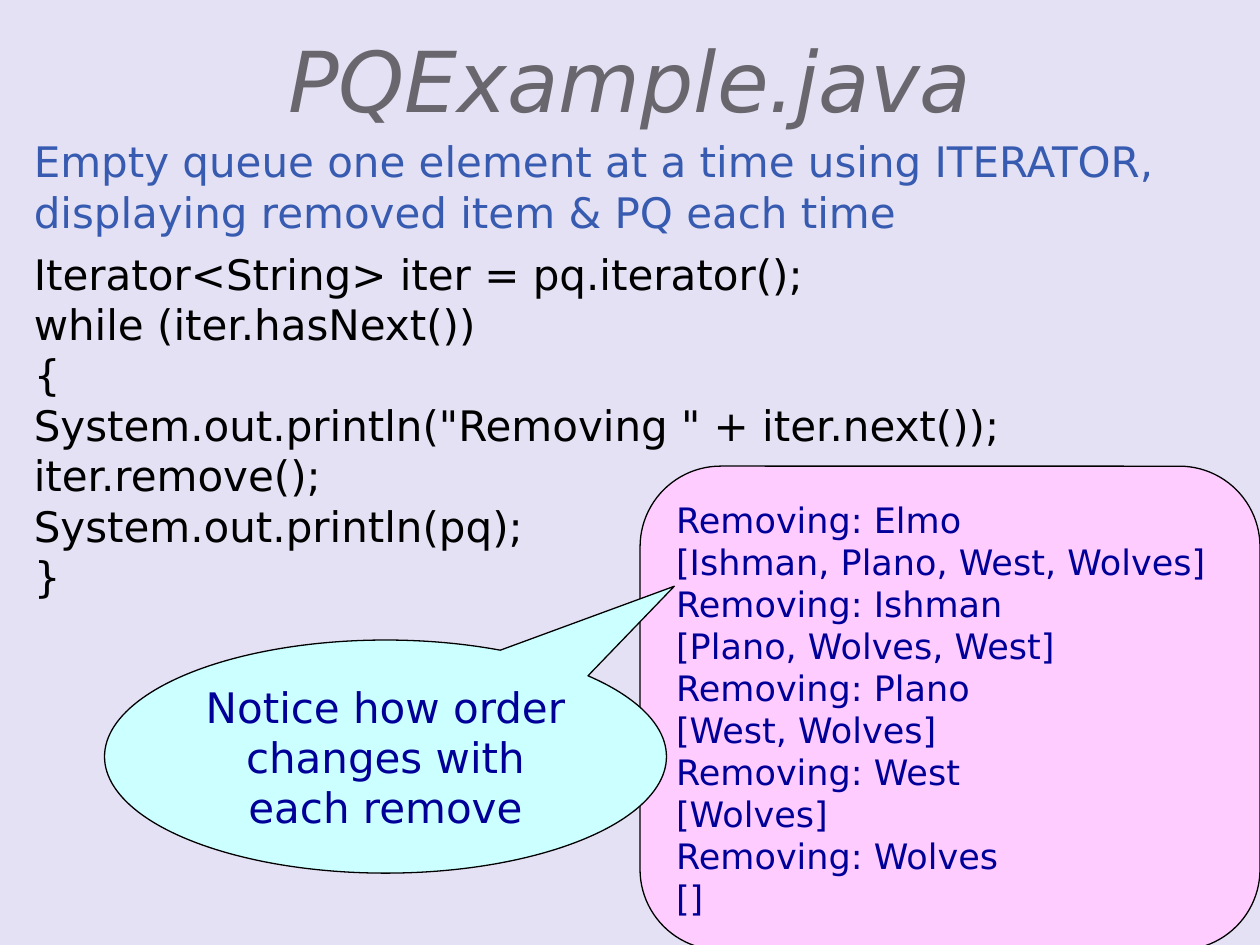
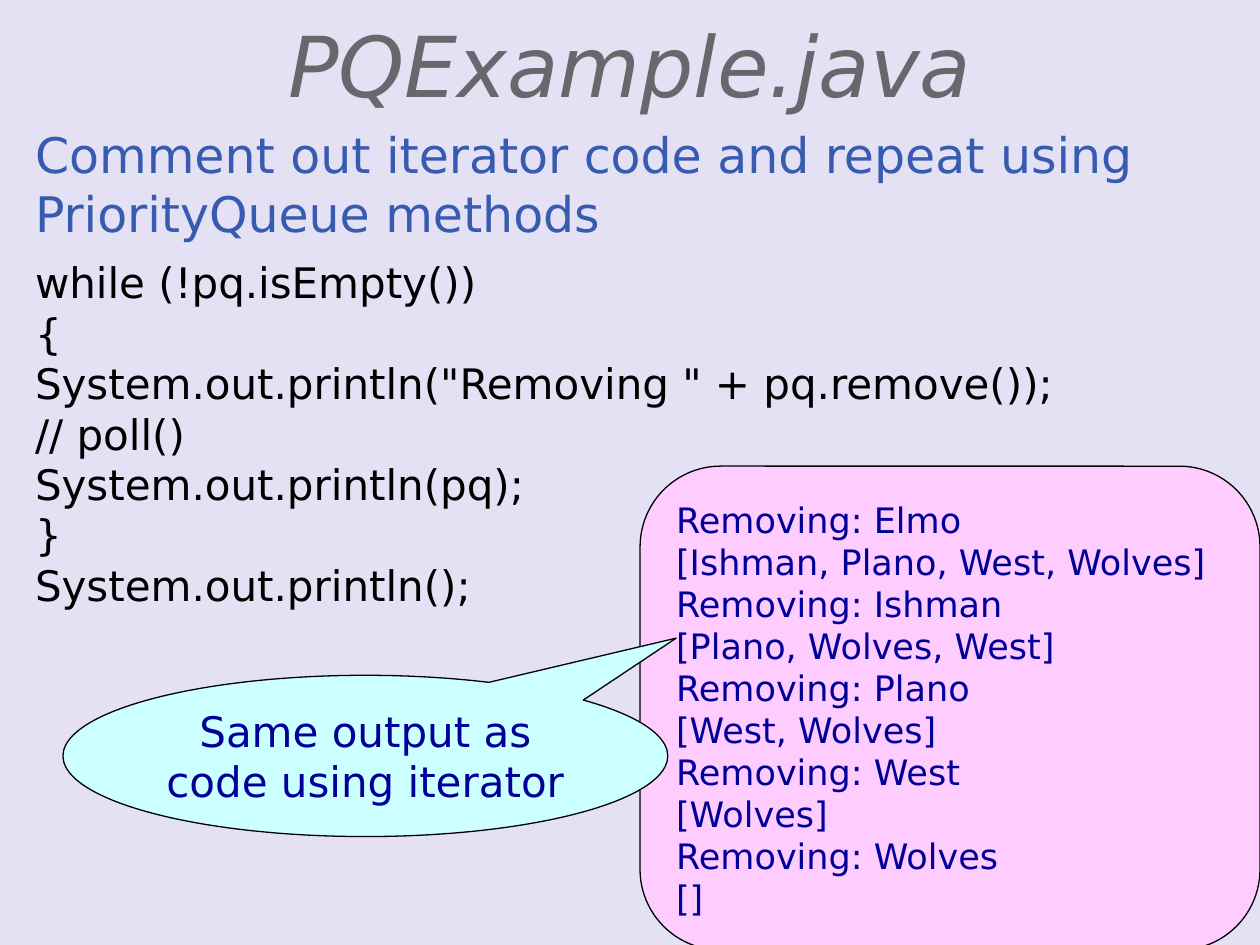
from dataclasses import dataclass

from pptx import Presentation, util as u
from pptx.dml.color import RGBColor
from pptx.enum import shapes, text

FONT = "DejaVu Sans"
BACKGROUND, GREY, BLUE, BLACK = "E5E1F4", "69676D", "375BB0", "000000"
NAVY, PINK, CYAN = "000099", "FFCCFF", "CCFFFF"
CODE_INDENT = 0.32
COMMENT_INDENT = 6.02
TITLE = "PQExample.java"
OUTPUT = [
    "Removing: Elmo",
    "[Ishman, Plano, West, Wolves]",
    "Removing: Ishman",
    "[Plano, Wolves, West]",
    "Removing: Plano",
    "[West, Wolves]",
    "Removing: West",
    "[Wolves]",
    "Removing: Wolves",
    "[]",
]


@dataclass(frozen=True)
class Area:
    left: float
    top: float
    width: float
    height: float

    def lengths(self) -> list:
        return [u.Inches(v) for v in (self.left, self.top, self.width, self.height)]


@dataclass(frozen=True)
class Style:
    size: int
    color: str
    italic: bool = False
    align: text.PP_ALIGN = text.PP_ALIGN.LEFT
    spacing: int = 0


@dataclass(frozen=True)
class Line:
    words: str
    indent: float = 0


@dataclass(frozen=True)
class Lesson:
    title_top: float
    heading: str
    heading_area: Area
    heading_size: int
    code: list
    code_area: Area
    remark: str
    remark_area: Area


TITLE_STYLE = Style(48, GREY, True, text.PP_ALIGN.CENTER, 58)
CODE_STYLE = Style(24, BLACK)
OUTPUT_STYLE = Style(20, NAVY)
REMARK_STYLE = Style(24, NAVY, align=text.PP_ALIGN.CENTER)
OUTPUT_AREA = Area(5.08, 3.7, 4.92, 3.84)

LESSONS = [
    Lesson(
        -0.67,
        "Empty queue one element at a time using ITERATOR, "
        "displaying removed item & PQ each time",
        Area(0.17, 1.03, 9.17, 0.91),
        24,
        [
            Line("Iterator<String> iter = pq.iterator();"),
            Line("while (iter.hasNext())"),
            Line("{"),
            Line('System.out.println("Removing " + iter.next());', CODE_INDENT),
            Line("iter.remove();", CODE_INDENT),
            Line("System.out.println(pq);", CODE_INDENT),
            Line("}"),
        ],
        Area(0.17, 1.92, 9.67, 2.93),
        "Notice how order changes with each remove",
        Area(0.83, 5.08, 4.46, 1.85),
    ),
    Lesson(
        -0.79,
        "Comment out iterator code and repeat using PriorityQueue methods",
        Area(0.18, 0.94, 9.33, 1.04),
        28,
        [
            Line("while (!pq.isEmpty())"),
            Line("{"),
            Line('System.out.println("Removing " + pq.remove());', CODE_INDENT),
            Line("// poll()", COMMENT_INDENT),
            Line("System.out.println(pq);", CODE_INDENT),
            Line("}"),
            Line("System.out.println();"),
        ],
        Area(0.18, 1.99, 9.67, 2.93),
        "Same output as code using iterator",
        Area(0.5, 5.36, 4.8, 1.28),
    ),
]


def rgb(value: str) -> RGBColor:
    return RGBColor.from_string(value)


def apply(target, formats: dict) -> None:
    for name, value in formats.items():
        setattr(target, name, value)


def write(box, lines: list, style: Style, **frame_formats) -> None:
    frame = box.text_frame
    apply(frame, {"word_wrap": True, "auto_size": text.MSO_AUTO_SIZE.SHAPE_TO_FIT_TEXT,
                  **frame_formats})
    for number, line in enumerate(lines):
        para = frame.add_paragraph() if number else frame.paragraphs[0]
        para.alignment = style.align
        if style.spacing:
            para.line_spacing = u.Pt(style.spacing)
        if line.indent:
            apply(para._p.get_or_add_pPr(), {"marL": u.Inches(line.indent)})
            para._p.pPr.set("indent", "0")
        span = para.add_run()
        span.text = line.words
        apply(span.font, {"name": FONT, "size": u.Pt(style.size), "italic": style.italic})
        span.font.color.rgb = rgb(style.color)


def add_title(page, top: float) -> None:
    box = page.shapes.title
    names = ("left", "top", "width", "height")
    apply(box, dict(zip(names, Area(0.5, top, 9, 1.75).lengths())))
    write(box, [Line(TITLE)], TITLE_STYLE, auto_size=text.MSO_AUTO_SIZE.NONE,
          vertical_anchor=text.MSO_ANCHOR.BOTTOM)


def add_text(page, area: Area, lines: list, style: Style) -> None:
    write(page.shapes.add_textbox(*area.lengths()), lines, style)


def add_panel(page, kind: shapes.MSO_SHAPE, area: Area, fill: str, lines: list,
              style: Style, wrap: bool, adjustments: tuple = ()) -> None:
    box = page.shapes.add_shape(kind, *area.lengths())
    for number, value in enumerate(adjustments):
        box.adjustments[number] = value
    box.shadow.inherit = False
    box.fill.solid()
    box.fill.fore_color.rgb = rgb(fill)
    box.line.color.rgb = rgb(BLACK)
    box.line.width = u.Pt(0.75)
    write(box, lines, style, word_wrap=wrap, vertical_anchor=text.MSO_ANCHOR.MIDDLE)


def add_lesson(deck, lesson: Lesson) -> None:
    page = deck.slides.add_slide(deck.slide_layouts.get_by_name("Title Only"))
    add_title(page, lesson.title_top)
    add_text(page, lesson.heading_area, [Line(lesson.heading)],
             Style(lesson.heading_size, BLUE))
    add_text(page, lesson.code_area, lesson.code, CODE_STYLE)
    add_panel(page, shapes.MSO_SHAPE.ROUNDED_RECTANGLE, OUTPUT_AREA, PINK,
              [Line(words) for words in OUTPUT], OUTPUT_STYLE, False)
    add_panel(page, shapes.MSO_SHAPE.OVAL_CALLOUT, lesson.remark_area, CYAN,
              [Line(lesson.remark)], REMARK_STYLE, True, (0.514, -0.731))


def main() -> None:
    deck = Presentation()
    apply(deck, {"slide_width": u.Inches(10), "slide_height": u.Inches(7.5)})
    background = deck.slide_master.background.fill
    background.solid()
    background.fore_color.rgb = rgb(BACKGROUND)
    for lesson in LESSONS:
        add_lesson(deck, lesson)
    deck.save("out.pptx")


main()
